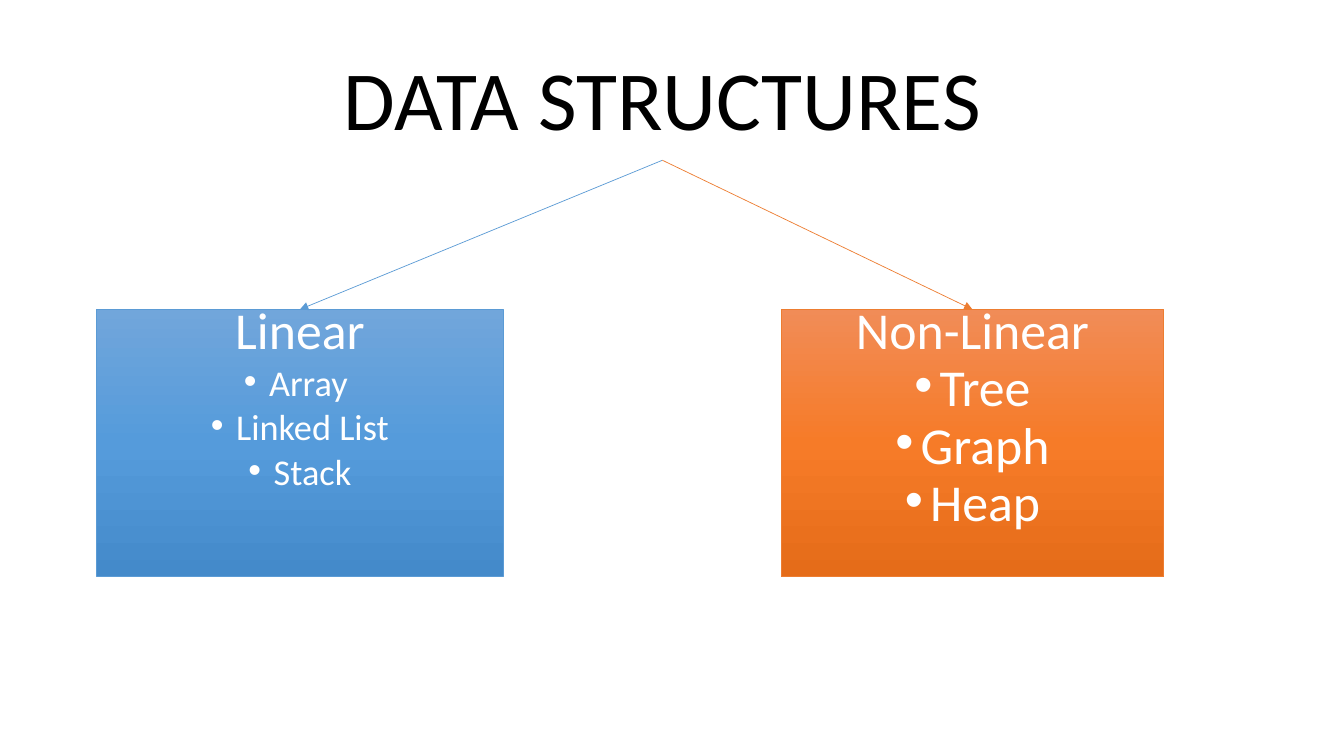
from copy import deepcopy

from lxml import etree
from pptx import Presentation
from pptx.dml.color import RGBColor
from pptx.enum.shapes import MSO_CONNECTOR, MSO_SHAPE
from pptx.enum.text import MSO_ANCHOR, PP_ALIGN
from pptx.oxml.ns import qn
from pptx.util import Inches, Pt

RECTANGLE = MSO_SHAPE.RECTANGLE
STRAIGHT = MSO_CONNECTOR.STRAIGHT
CENTER = PP_ALIGN.CENTER
TOP, MIDDLE = MSO_ANCHOR.TOP, MSO_ANCHOR.MIDDLE
FONT = "Calibri"
COLORS = {
    "title": "000000",
    "label": "FFFFFF",
    "linear": "5B9BD5",
    "linear_fill": ["71A6DB", "559BDB", "448ACA"],
    "nonlinear": "ED7D31",
    "nonlinear_fill": ["F18C57", "F67B28", "E56C19"],
}
TITLE_BOX = (2.83, 0.46, 7.48, 1.13)
CATEGORIES = [
    ("linear", (0.96, 3.07, 4.03, 2.65), "Linear", ["Array ", "Linked List", "Stack"], 25.9),
    ("nonlinear", (7.75, 3.07, 3.79, 2.65), "Non-Linear", ["Tree", "Graph", "Heap"], 37),
]


def format_paragraph(paragraph, size, color, line_spacing):
    """Centre a paragraph and set its font."""
    paragraph.alignment = CENTER
    paragraph.line_spacing = line_spacing
    for run in paragraph.runs:
        run.font.name = FONT
        run.font.size = Pt(size)
        run.font.color.rgb = RGBColor.from_string(color)


def add_bullet(paragraph):
    """Give a paragraph a hanging round bullet."""
    properties = paragraph._p.get_or_add_pPr()
    properties.set("marL", str(Inches(0.25)))
    properties.set("indent", str(-Inches(0.25)))
    etree.SubElement(properties, qn("a:buFont"), typeface="Arial")
    etree.SubElement(properties, qn("a:buChar"), char="•")


def fill_gradient(shape, colors):
    """Fill a shape from top to bottom with evenly spaced colours."""
    shape.fill.gradient()
    shape.fill.gradient_angle = 270
    stop_list = shape._element.spPr.find(qn("a:gradFill")).find(qn("a:gsLst"))
    stop_list.append(deepcopy(stop_list[-1]))
    for index, (stop, color) in enumerate(zip(shape.fill.gradient_stops, colors)):
        stop.position = index / (len(colors) - 1)
        stop.color.rgb = RGBColor.from_string(color)


def add_title(slide, box):
    """Place the slide title in its box."""
    text_frame = slide.shapes.add_textbox(*map(Inches, box)).text_frame
    text_frame.word_wrap = True
    text_frame.vertical_anchor = MIDDLE
    text_frame.text = "DATA STRUCTURES"
    format_paragraph(text_frame.paragraphs[0], 60, COLORS["title"], 0.9)


def add_category(slide, box, name, heading, members, member_size):
    """Place a gradient box with a heading and its bulleted members."""
    shape = slide.shapes.add_shape(RECTANGLE, *map(Inches, box))
    shape.shadow.inherit = False
    fill_gradient(shape, COLORS[name + "_fill"])
    shape.line.color.rgb = RGBColor.from_string(COLORS[name])
    shape.line.width = Pt(0.5)
    text_frame = shape.text_frame
    text_frame.word_wrap = True
    text_frame.vertical_anchor = TOP
    text_frame.text = "\n".join([heading, *members])
    for index, paragraph in enumerate(text_frame.paragraphs):
        format_paragraph(paragraph, member_size if index else 37, COLORS["label"], 0.7)
        paragraph.space_before = Pt(10)
        if index:
            add_bullet(paragraph)


def add_branch(slide, parent_box, child_box, color):
    """Draw an arrow from the bottom of one box to the top of another."""
    left, top, width, height = parent_box
    child_left, child_top, child_width, _ = child_box
    ends = (left + width / 2, top + height, child_left + child_width / 2, child_top)
    connector = slide.shapes.add_connector(STRAIGHT, *map(Inches, ends))
    connector.line.color.rgb = RGBColor.from_string(color)
    connector.line.width = Pt(0.5)
    etree.SubElement(connector.line._get_or_add_ln(), qn("a:tailEnd"), type="triangle")
    etree.SubElement(connector._element.spPr, qn("a:effectLst"))


def build_slide(presentation):
    """Build the tree of data structure categories."""
    slide = presentation.slides.add_slide(presentation.slide_layouts[6])
    add_title(slide, TITLE_BOX)
    for name, box, heading, members, member_size in CATEGORIES:
        add_category(slide, box, name, heading, members, member_size)
    for name, box, *_ in CATEGORIES:
        add_branch(slide, TITLE_BOX, box, COLORS[name])


presentation = Presentation()
presentation.slide_width = Inches(13.33)
presentation.slide_height = Inches(7.5)
build_slide(presentation)
presentation.save("out.pptx")
